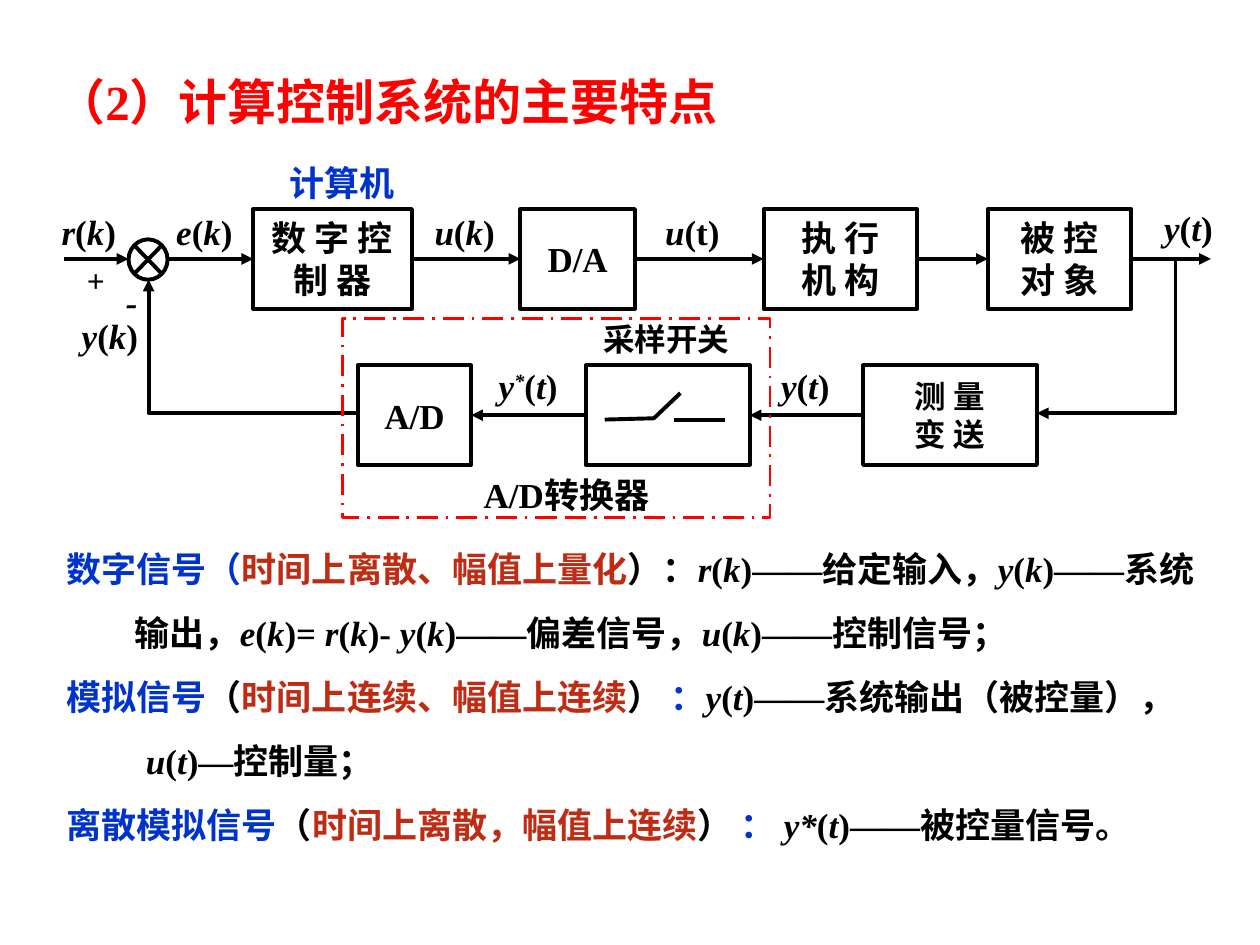
from dataclasses import dataclass

from lxml.etree import SubElement
from pptx import Presentation
from pptx.dml.color import RGBColor
from pptx.enum.dml import MSO_LINE
from pptx.enum.shapes import MSO_CONNECTOR, MSO_SHAPE
from pptx.enum.text import MSO_ANCHOR, PP_ALIGN
from pptx.oxml.ns import qn
from pptx.util import Inches, Pt


@dataclass(frozen=True)
class Theme:
    font: str = "Times New Roman"
    black: str = "000000"
    blue: str = "0033CC"
    brown: str = "BE2C14"
    red: str = "FF0000"
    title: int = 28
    text: int = 20
    small: int = 18
    para_gap: float = 12.5
    line: float = 2.25
    dash_line: float = 1.5


T = Theme()

# In all texts "_" switches italic on and off, "^" switches superscript.
TITLE = "（2）计算控制系统的主要特点"

# (first-line indent, [(text, colour), ...])
NOTES = [
    (0, [("数字信号（", T.blue), ("时间上离散、幅值上量化", T.brown),
         ("）：_r_(_k_)——给定输入，_y_(_k_)——系统", T.black)]),
    (0.54, [("输出，_e_(_k_)= _r_(_k_)- _y_(_k_)——偏差信号，_u_(_k_)——控制信号；", T.black)]),
    (0, [("模拟信号", T.blue), ("（", T.black), ("时间上连续、幅值上连续", T.brown),
         ("）", T.black), (" ：", T.blue), ("_y_(_t_)——系统输出（被控量），", T.black)]),
    (0.63, [("_u_(_t_)—控制量；", T.black)]),
    (0, [("离散模拟信号", T.blue), ("（", T.black), ("时间上离散，幅值上连续", T.brown),
         ("）", T.black), (" ： ", T.blue), ("_y*_(_t_)——被控量信号。", T.black)]),
]

ROW_TOP, ROW_LOW, BLOCK_H = 1.66, 2.9, 0.79
MID_TOP, MID_LOW = ROW_TOP + BLOCK_H / 2, ROW_LOW + BLOCK_H / 2

# (left, top, width, lines, size)
BLOCKS = [
    (2.01, ROW_TOP, 1.26, ["数 字 控", "制 器"], T.text),
    (4.13, ROW_TOP, 0.91, ["D/A"], T.text),
    (6.06, ROW_TOP, 1.22, ["执 行", "机 构"], T.text),
    (7.84, ROW_TOP, 1.14, ["被 控", "对 象"], T.text),
    (2.84, ROW_LOW, 0.9, ["A/D"], T.text),
    (4.65, ROW_LOW, 1.3, [], T.text),
    (6.85, ROW_LOW, 1.38, ["测 量", "变 送"], T.small),
]

# (start x, end x, y)
ARROWS = [
    (0.51, 1.02, MID_TOP), (1.34, 2.01, MID_TOP), (3.27, 4.13, MID_TOP),
    (5.04, 6.06, MID_TOP), (7.28, 7.84, MID_TOP), (8.98, 9.61, MID_TOP),
    (6.85, 5.95, MID_LOW), (4.65, 3.74, MID_LOW),
]
FEEDBACK = [
    [(2.84, 3.28), (1.18, 3.28), (1.18, 2.22)],
    [(9.33, MID_TOP), (9.33, 3.28), (8.23, 3.28)],
]
SWITCH_ARM = [(4.8, 3.33), (5.19, 3.32), (5.4, 3.12)]
SWITCH_CONTACT = (5.35, 5.75, 3.33)
JUNCTION = (1.02, 1.9, 0.31, 0.32)
CONVERTER = (2.72, 2.53, 3.39, 1.58)

# (left, top, width, text, size, colour)
LABELS = [
    (9.14, 1.59, 0.71, "_y_(_t_)", T.text, T.black),
    (6.1, 2.84, 0.79, "_y_(_t_)", T.text, T.black),
    (3.86, 2.84, 0.79, "_y^*^_(_t_)", T.text, T.black),
    (0.55, 2.45, 0.79, "_y_(_k_)", T.text, T.black),
    (0.39, 1.62, 0.79, "_r_(_k_)", T.text, T.black),
    (1.3, 1.62, 0.79, "_e_(_k_)", T.text, T.black),
    (3.35, 1.62, 0.79, "_u_(_k_)", T.text, T.black),
    (5.18, 1.62, 0.81, "_u_(t)", T.text, T.black),
    (0.59, 2.02, 0.43, "_+_", T.small, T.black),
    (0.9, 2.18, 0.43, "_-_", T.text, T.black),
    (2.2, 1.23, 1.1, "计算机", T.text, T.blue),
    (4.69, 2.49, 1.3, "采样开关", T.small, T.black),
    (3.74, 3.71, 2.2, "A/D转换器", T.text, T.black),
]


def add_runs(p, text, size, color):
    """Add bold runs to p, reading the "_" and "^" switches."""
    for i, part in enumerate(text.split("_")):
        for j, chunk in enumerate(part.split("^")):
            if not chunk:
                continue
            r = p.add_run()
            r.text = chunk
            f = r.font
            f.name, f.size, f.bold, f.italic = T.font, Pt(size), True, i % 2 == 1
            f.color.rgb = RGBColor.from_string(color)
            if j % 2:
                r._r.get_or_add_rPr().set("baseline", "30000")


def add_box(s, *place):
    tf = s.shapes.add_textbox(*map(Inches, place)).text_frame
    tf.word_wrap = True
    return tf


def style_line(sp, color=T.black, weight=T.line, arrow=False):
    sp.line.color.rgb = RGBColor.from_string(color)
    sp.line.width = Pt(weight)
    if arrow:
        SubElement(sp.line._get_or_add_ln(), qn("a:tailEnd"), type="triangle")


def add_outline(s, kind, place, **line):
    sp = s.shapes.add_shape(kind, *map(Inches, place))
    sp.shadow.inherit = False
    sp.fill.background()
    style_line(sp, **line)
    return sp


def add_block(s, left, top, width, lines, size):
    tf = add_outline(s, MSO_SHAPE.RECTANGLE, (left, top, width, BLOCK_H)).text_frame
    tf.margin_left = tf.margin_right = tf.margin_top = tf.margin_bottom = 0
    tf.vertical_anchor = MSO_ANCHOR.MIDDLE
    for i, line in enumerate(lines):
        p = tf.add_paragraph() if i else tf.paragraphs[0]
        p.alignment = PP_ALIGN.CENTER
        add_runs(p, line, size, T.black)


def add_level_line(s, x1, x2, y, arrow=True):
    c = s.shapes.add_connector(MSO_CONNECTOR.STRAIGHT, *map(Inches, (x1, y, x2, y)))
    style_line(c, arrow=arrow)
    SubElement(c._element.spPr, qn("a:effectLst"))


def add_polyline(s, points, arrow=False):
    pts = [(Inches(x), Inches(y)) for x, y in points]
    fb = s.shapes.build_freeform(*pts[0])
    fb.add_line_segments(pts[1:], close=False)
    sp = fb.convert_to_shape()
    sp.shadow.inherit = False
    sp.fill.background()
    style_line(sp, arrow=arrow)


def add_notes(s):
    tf = add_box(s, 0.43, 4.3, 9.33, 2.8)
    for i, (indent, parts) in enumerate(NOTES):
        p = tf.add_paragraph() if i else tf.paragraphs[0]
        if i:
            p.space_before = Pt(T.para_gap)
        p._p.get_or_add_pPr().set("indent", str(Inches(indent)))
        for text, color in parts:
            add_runs(p, text, T.text, color)


def main():
    prs = Presentation()
    prs.slide_width, prs.slide_height = Inches(10), Inches(7.5)
    s = prs.slides.add_slide(prs.slide_layouts[6])

    add_runs(add_box(s, 0.35, 0.52, 6.14, 0.57).paragraphs[0], TITLE, T.title, T.red)
    add_notes(s)
    for block in BLOCKS:
        add_block(s, *block)
    add_outline(s, MSO_SHAPE.FLOWCHART_SUMMING_JUNCTION, JUNCTION)
    for arrow in ARROWS:
        add_level_line(s, *arrow)
    for points in FEEDBACK:
        add_polyline(s, points, arrow=True)
    add_polyline(s, SWITCH_ARM)
    add_level_line(s, *SWITCH_CONTACT, arrow=False)
    for left, top, width, text, size, color in LABELS:
        tf = add_box(s, left, top, width, 0.44 if size == T.text else 0.4)
        add_runs(tf.paragraphs[0], text, size, color)
    converter = add_outline(s, MSO_SHAPE.RECTANGLE, CONVERTER,
                            color=T.red, weight=T.dash_line)
    converter.line.dash_style = MSO_LINE.LONG_DASH_DOT

    prs.save("out.pptx")


if __name__ == "__main__":
    main()
